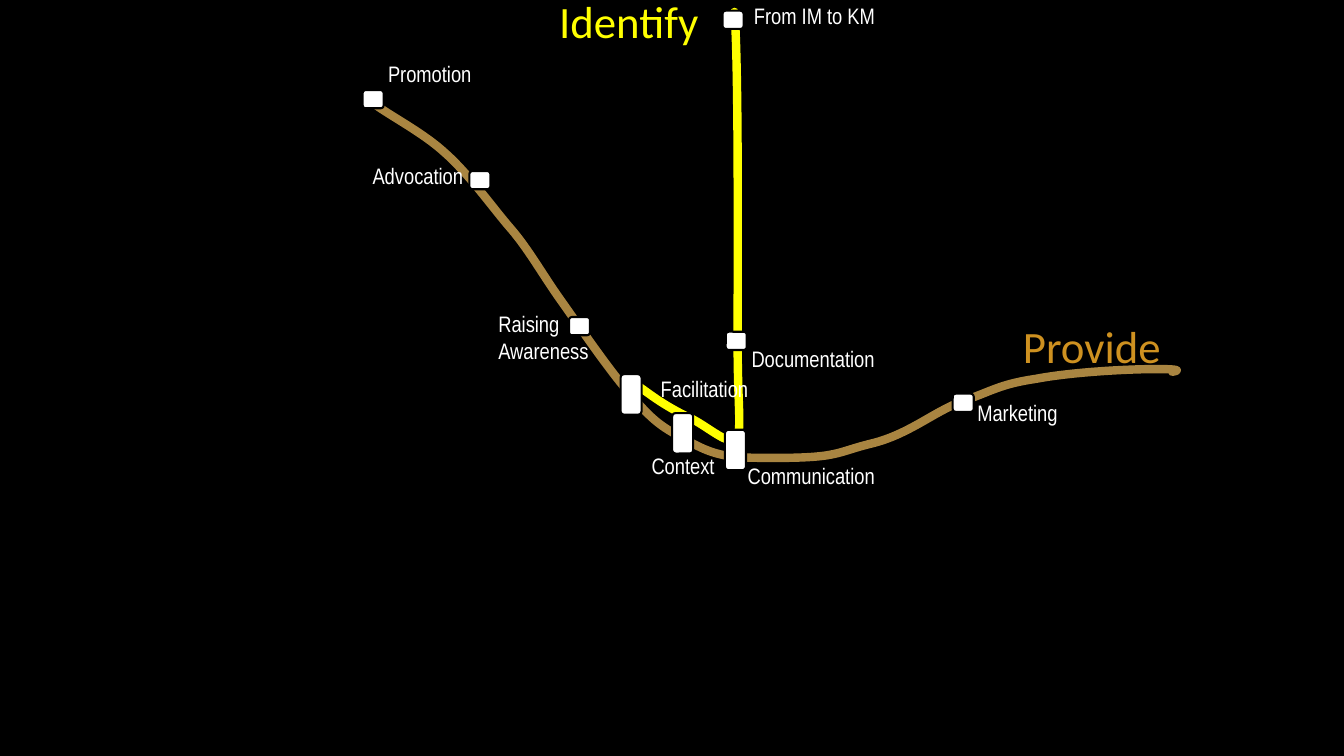
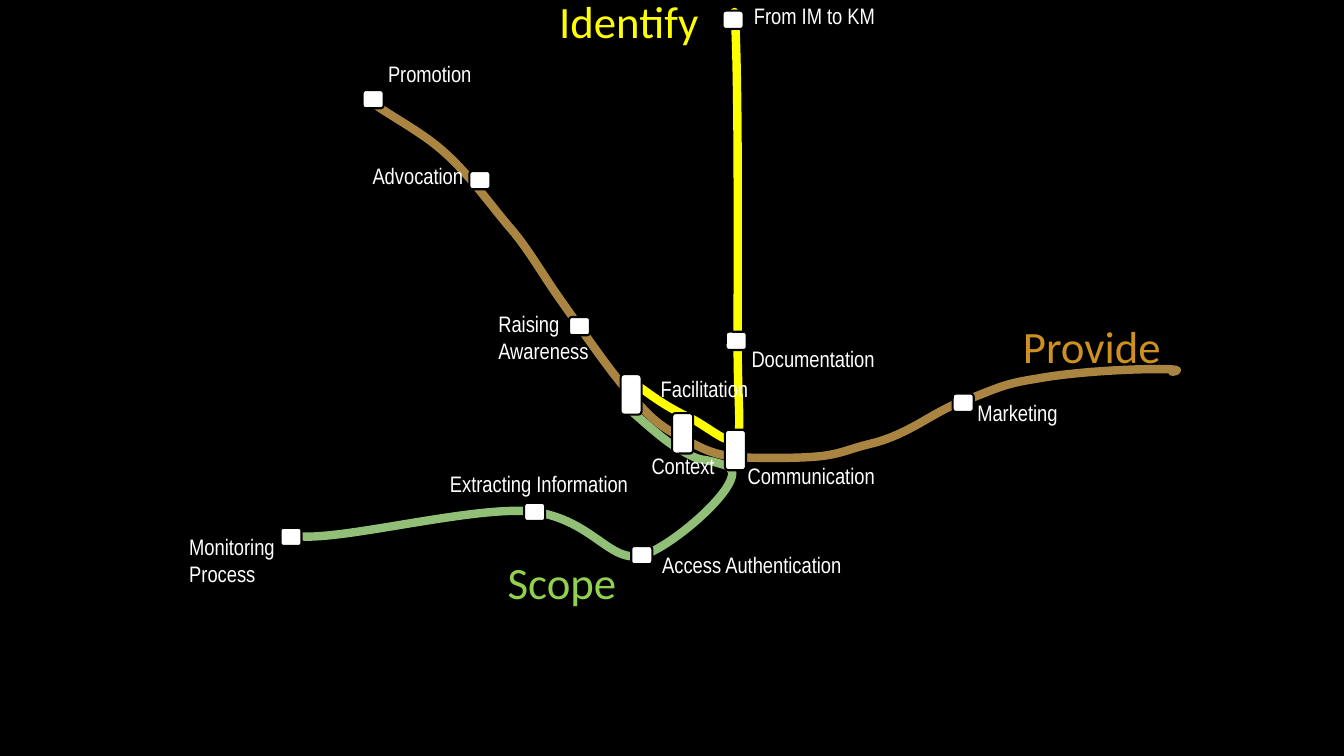
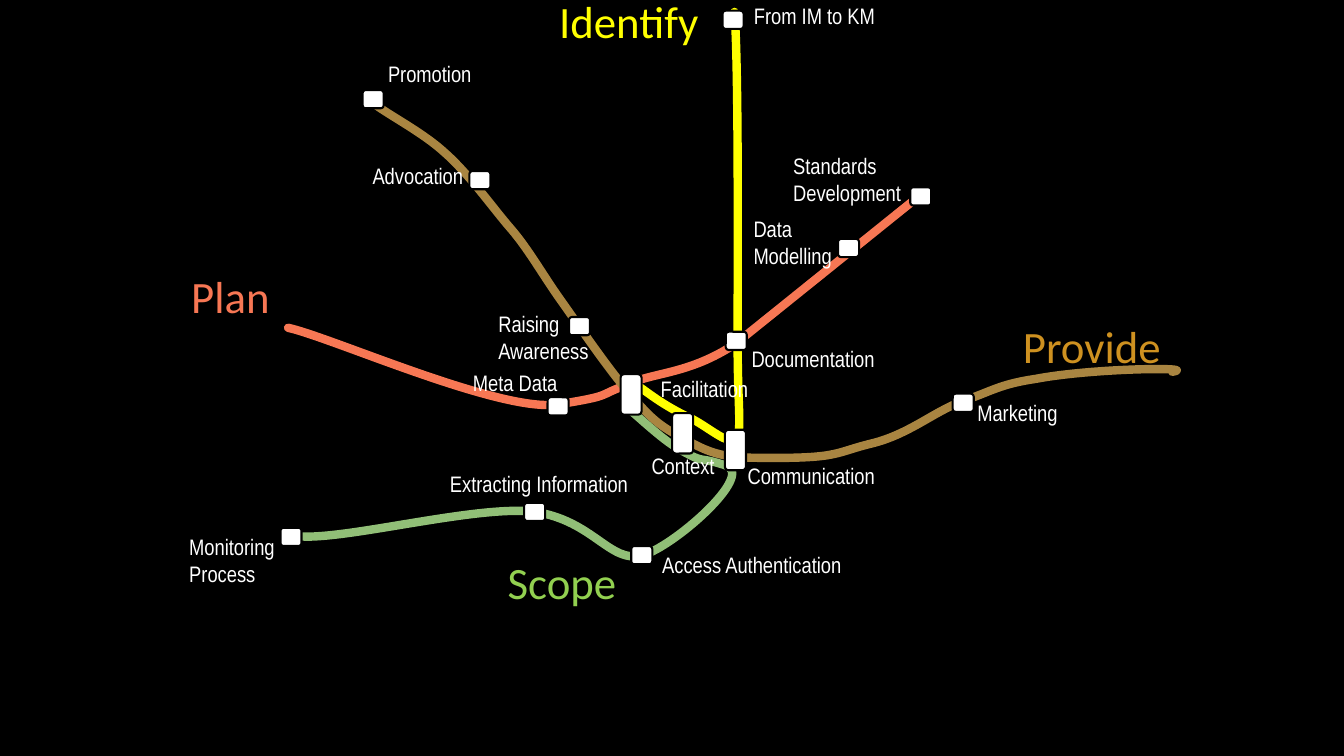
from dataclasses import dataclass
from math import comb

from lxml.etree import SubElement
from pptx import Presentation
from pptx.dml.color import RGBColor
from pptx.enum.shapes import MSO_SHAPE as Preset
from pptx.enum.text import MSO_AUTO_SIZE as AutoSize, PP_ALIGN as Align
from pptx.oxml.ns import qn
from pptx.slide import Slide
from pptx.text.text import TextFrame
from pptx.util import Cm, Pt

Point = tuple[float, float]

COLOURS = {
    "background": "000000",
    "station": "FFFFFF",
    "provide": "A98541",
    "provide name": "CE9120",
    "identify": "FFFF00",
    "scope": "91BF77",
    "scope name": "92D050",
    "plan": "F77754",
}
NAME_FONT, STATION_FONT = "Calibri", "Arial Narrow"
STATION_WIDTH, STATION_HEIGHT, INTERCHANGE_HEIGHT = 0.53, 0.46, 1.02
LABEL_LINE, LABEL_PADDING = 0.68, 0.26
NAME_HEIGHT = 1.63
EXTENT_STEPS = 40


@dataclass(frozen=True)
class Station:
    """A stop on the map; all lengths are in centimetres."""
    label: str
    left: float
    top: float
    label_left: float
    label_top: float
    label_width: float
    interchange: bool = False


@dataclass(frozen=True)
class Route:
    """A named line; each leg lists its control points and its end."""
    name: str
    name_left: float
    name_top: float
    name_width: float
    name_align: Align
    colour: str
    name_colour: str
    start: Point
    legs: list[list[Point]]
    stations: list[Station]


# The four lines
PROVIDE = Route(
    "Provide", 25.53, 7.9, 5.56, Align.LEFT, "provide", "provide name",
    (9.27, 2.49),
    [
        [(9.63, 2.82), (10.59, 3.28), (11.2, 3.84)],
        [(11.81, 4.37), (12.45, 5.28), (12.88, 5.77)],
        [(13.31, 6.27), (13.67, 6.91), (14.1, 7.52)],
        [(14.55, 8.15), (15.34, 9.32), (15.88, 9.93)],
        [(16.38, 10.52), (16.61, 10.74), (17.27, 11.07)],
        [(17.83, 11.4), (18.16, 11.48), (18.67, 11.53)],
        [(21.21, 11.58), (20.93, 11.43), (21.95, 11.18)],
        [(22.91, 10.95), (23.55, 10.36), (24.26, 10.11)],
        [(24.99, 9.86), (25.2, 9.68), (26.09, 9.55)],
        [(27.56, 9.27), (30.25, 9.25), (29.54, 9.37)],
    ],
    [
        Station("Promotion", 9.14, 2.27, 9.53, 1.39, 2.64),
        Station("Advocation", 11.83, 4.31, 9.14, 3.96, 2.82),
        Station("Raising\nAwareness", 14.34, 7.99, 12.31, 7.7, 2.82),
        Station("Marketing", 24.01, 9.92, 24.38, 9.93, 2.57),
    ],
)
IDENTIFY = Route(
    "Identify", 13.74, -0.28, 4.22, Align.CENTER, "identify", "identify",
    (18.51, 0.3),
    [
        [(18.62, 1.65), (18.59, 6.83), (18.59, 8.64)],
        [(18.59, 10.41), (18.72, 10.92), (18.52, 11.07)],
        [(18.31, 11.2), (17.83, 10.74), (17.37, 10.52)],
        [(16.59, 10.16), (16.21, 9.78), (15.95, 9.65)],
    ],
    [
        Station("From IM to KM", 18.21, 0.27, 18.75, -0.08, 3.58),
        Station("Documentation", 18.29, 8.36, 18.69, 8.57, 3.63),
    ],
)
SCOPE = Route(
    "Scope", 11.74, 13.86, 4.85, Align.CENTER, "scope", "scope name",
    (7.37, 13.49),
    [
        [(8.33, 13.72), (11.99, 12.7), (13.49, 12.9)],
        [(14.96, 13.13), (15.37, 14.2), (16.18, 14.0)],
        [(16.97, 13.79), (19.05, 11.96), (18.29, 11.73)],
        [(17.53, 11.48), (17.81, 11.71), (17.17, 11.35)],
        [(16.74, 11.13), (16.08, 10.49), (15.85, 10.31)],
        [(15.62, 10.13), (15.85, 10.31), (15.82, 10.31)],
        [(15.82, 10.31), (15.82, 10.31), (15.8, 10.34)],
    ],
    [
        Station("Monitoring\nProcess", 7.07, 13.3, 4.52, 13.31, 2.82),
        Station("Extracting Information", 13.21, 12.67, 11.09, 11.73, 5.03),
        Station("Access Authentication", 15.91, 13.76, 16.44, 13.77, 5.08),
    ],
)
PLAN = Route(
    "Plan", 4.57, 6.65, 2.74, Align.LEFT, "plan", "plan",
    (7.26, 8.26),
    [
        [(8.38, 8.51), (12.62, 10.41), (14.07, 10.19)],
        [(15.49, 9.96), (15.01, 9.98), (15.8, 9.7)],
        [(16.46, 9.37), (17.35, 9.45), (18.54, 8.66)],
        [(23.09, 5.0)],
    ],
    [
        Station("Meta Data", 13.8, 10.01, 11.67, 9.18, 2.67),
        Station("Standards\nDevelopment", 22.94, 4.72, 19.74, 3.72, 3.25),
        Station("Data\nModelling", 21.12, 6.02, 18.74, 5.3, 2.49),
    ],
)
INTERCHANGES = [
    Station("Facilitation", 15.64, 9.43, 16.4, 9.32, 2.74, True),
    Station("Context", 16.94, 10.41, 16.17, 11.28, 2.11, True),
    Station("Communication", 18.27, 10.83, 18.59, 11.53, 3.73, True),
]

# Lines on each slide, from back to front
STAGES = [
    [PROVIDE, IDENTIFY],
    [IDENTIFY, PROVIDE, SCOPE],
    [IDENTIFY, PLAN, PROVIDE, SCOPE],
]


def rgb(key: str) -> RGBColor:
    return RGBColor.from_string(COLOURS[key])


def curve_point(controls: list[Point], t: float) -> Point:
    """Point at t on a Bezier curve of any degree."""
    degree = len(controls) - 1
    weights = [comb(degree, i) * t**i * (1 - t) ** (degree - i)
               for i in range(degree + 1)]
    x, y = (sum(w * p[axis] for w, p in zip(weights, controls))
            for axis in (0, 1))
    return x, y


def route_extent(route: Route) -> tuple[int, int, int, int]:
    """Left, top, right and bottom of the drawn line."""
    starts = [route.start, *(leg[-1] for leg in route.legs)]
    points = [curve_point([start, *leg], i / EXTENT_STEPS)
              for start, leg in zip(starts, route.legs)
              for i in range(EXTENT_STEPS + 1)]
    xs, ys = zip(*points)
    return Cm(min(xs)), Cm(min(ys)), Cm(max(xs)), Cm(max(ys))


def draw_track(slide: Slide, route: Route) -> None:
    builder = slide.shapes.build_freeform(*map(Cm, route.start))
    builder.add_line_segments(
        [(Cm(leg[-1][0]), Cm(leg[-1][1])) for leg in route.legs], close=False)
    track = builder.convert_to_shape()
    track.shadow.inherit = False
    track.fill.background()
    track.line.color.rgb = rgb(route.colour)
    track.line.width = Pt(6)
    properties = track.element.spPr
    properties.find(qn("a:ln")).set("cap", "rnd")

    # Turn the straight legs into curves inside the true extent
    left, top, right, bottom = route_extent(route)
    track.left, track.top = left, top
    track.width, track.height = right - left, bottom - top
    outline = next(properties.iter(qn("a:path")))
    outline.set("w", str(right - left))
    outline.set("h", str(bottom - top))
    for command, leg in zip(list(outline), [[route.start], *route.legs]):
        for old_point in list(command):
            command.remove(old_point)
        if len(leg) == 3:
            command.tag = qn("a:cubicBezTo")
        for x, y in leg:
            SubElement(command, qn("a:pt"),
                       x=str(Cm(x) - left), y=str(Cm(y) - top))


def draw_text(slide: Slide, text: str, left: float, top: float, width: float,
              height: float, font: str, size: int, colour: str) -> TextFrame:
    box = slide.shapes.add_textbox(Cm(left), Cm(top), Cm(width), Cm(height))
    frame = box.text_frame
    frame.auto_size = AutoSize.SHAPE_TO_FIT_TEXT
    frame.word_wrap = False
    for i, line in enumerate(text.split("\n")):
        paragraph = frame.add_paragraph() if i else frame.paragraphs[0]
        run = paragraph.add_run()
        run.text = line
        run.font.name = font
        run.font.size = Pt(size)
        run.font.color.rgb = rgb(colour)
    return frame


def draw_name(slide: Slide, route: Route) -> None:
    frame = draw_text(slide, route.name, route.name_left, route.name_top,
                      route.name_width, NAME_HEIGHT, NAME_FONT, 32,
                      route.name_colour)
    frame.word_wrap = True
    frame.paragraphs[0].alignment = route.name_align


def draw_station(slide: Slide, station: Station) -> None:
    height = INTERCHANGE_HEIGHT if station.interchange else STATION_HEIGHT
    marker = slide.shapes.add_shape(
        Preset.ROUNDED_RECTANGLE, Cm(station.left), Cm(station.top),
        Cm(STATION_WIDTH), Cm(height))
    marker.shadow.inherit = False
    marker.fill.solid()
    marker.fill.fore_color.rgb = rgb("station")
    marker.line.color.rgb = rgb("background")
    marker.line.width = Pt(1.5)
    lines = station.label.count("\n") + 1
    draw_text(slide, station.label, station.label_left, station.label_top,
              station.label_width, LABEL_PADDING + lines * LABEL_LINE,
              STATION_FONT, 16, "station")


def draw_map(slide: Slide, routes: list[Route]) -> None:
    slide.background.fill.solid()
    slide.background.fill.fore_color.rgb = rgb("background")
    for route in routes:
        draw_track(slide, route)
    for route in routes:
        draw_name(slide, route)
        for station in route.stations:
            draw_station(slide, station)
    for station in INTERCHANGES:
        draw_station(slide, station)


def main() -> None:
    deck = Presentation()
    deck.slide_width, deck.slide_height = Cm(33.87), Cm(19.05)
    blank = deck.slide_layouts[6]
    for routes in STAGES:
        draw_map(deck.slides.add_slide(blank), routes)
    deck.save("out.pptx")


if __name__ == "__main__":
    main()
